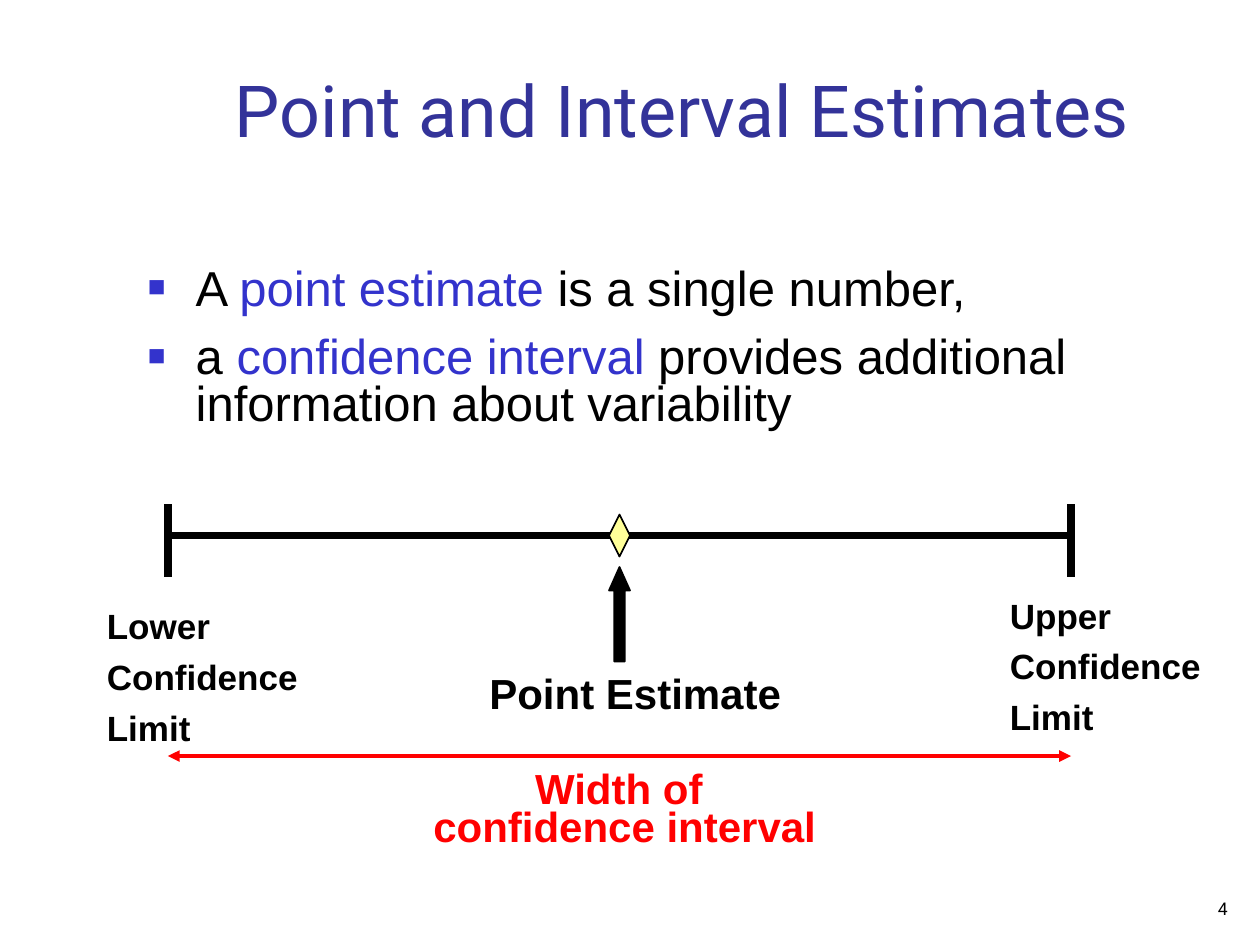
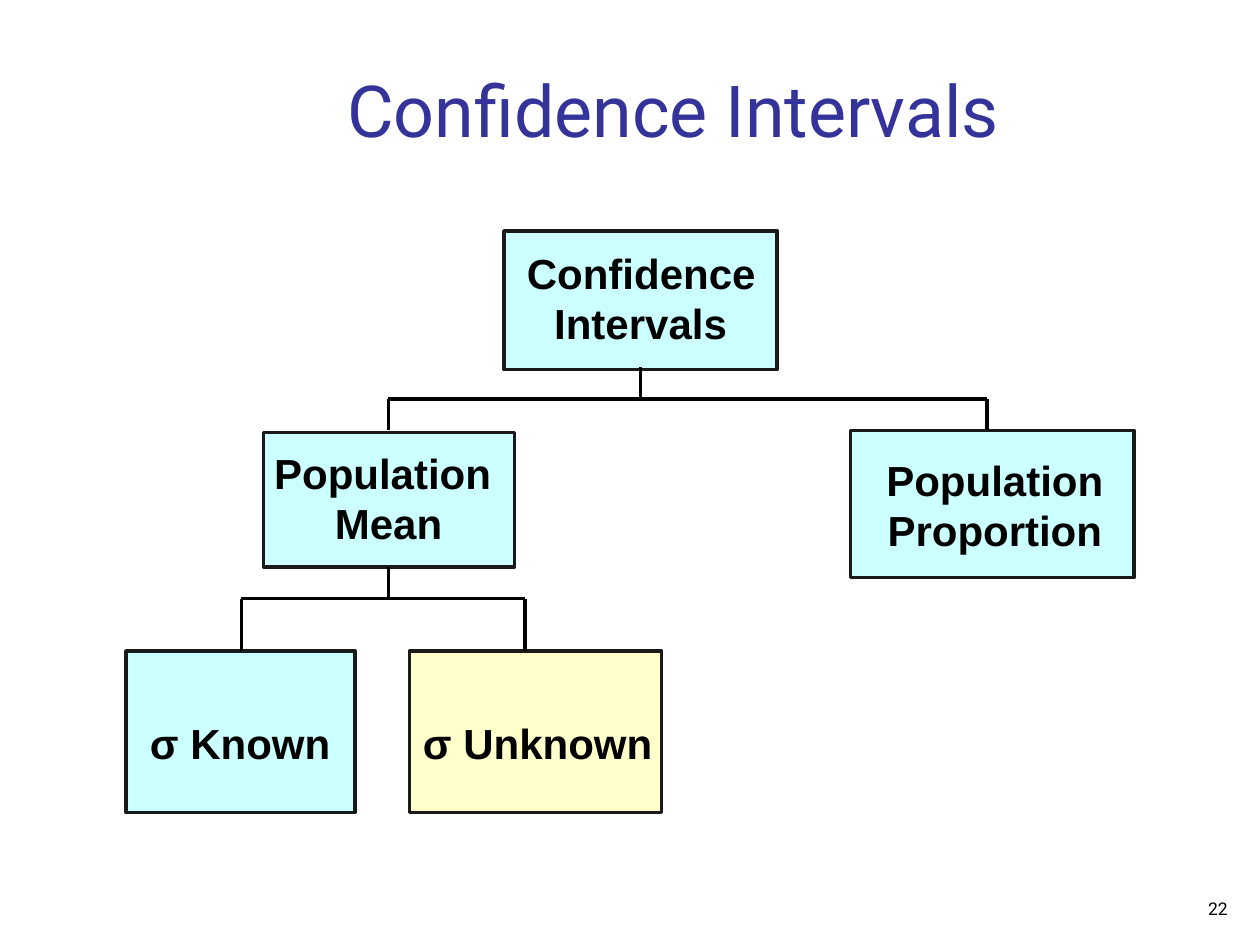
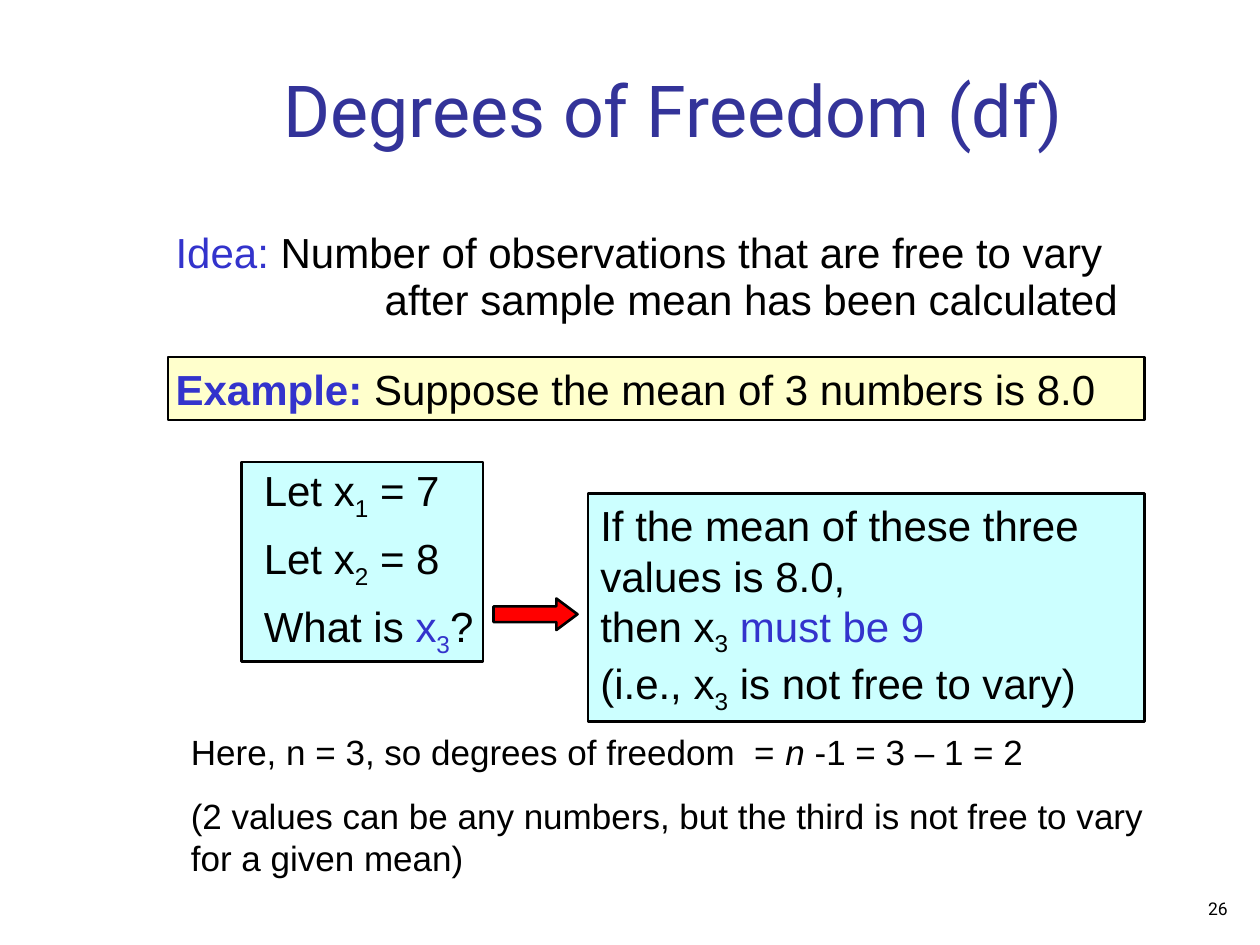
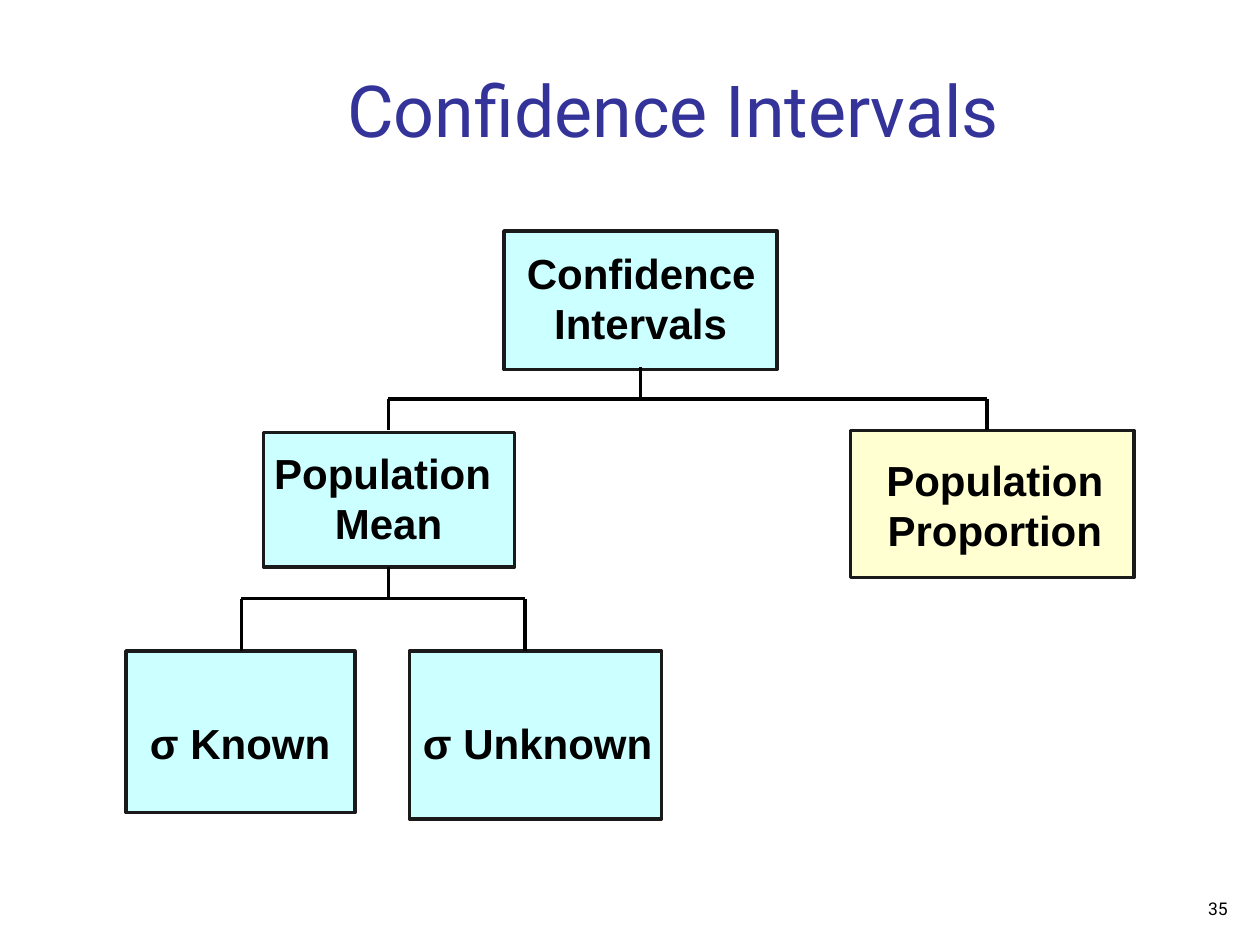
from lxml import etree
from pptx import Presentation
from pptx.dml.color import RGBColor
from pptx.enum.shapes import MSO_CONNECTOR, MSO_SHAPE
from pptx.enum.text import MSO_ANCHOR, MSO_AUTO_SIZE, PP_ALIGN
from pptx.oxml.ns import qn
from pptx.util import Emu, Inches, Pt

LEFT, CENTER, RIGHT = PP_ALIGN.LEFT, PP_ALIGN.CENTER, PP_ALIGN.RIGHT
TOP, BOTTOM = MSO_ANCHOR.TOP, MSO_ANCHOR.BOTTOM
NO_FIT, GROW = MSO_AUTO_SIZE.NONE, MSO_AUTO_SIZE.SHAPE_TO_FIT_TEXT
RECTANGLE, DIAMOND = MSO_SHAPE.RECTANGLE, MSO_SHAPE.DIAMOND
UP_ARROW, RIGHT_ARROW = MSO_SHAPE.UP_ARROW, MSO_SHAPE.RIGHT_ARROW
STRAIGHT = MSO_CONNECTOR.STRAIGHT

BLACK = RGBColor(0x00, 0x00, 0x00)
CHARCOAL = RGBColor(0x1A, 0x1A, 0x1A)
NAVY = RGBColor(0x33, 0x33, 0x99)
BLUE = RGBColor(0x33, 0x33, 0xCC)
RED = RGBColor(0xFF, 0x00, 0x00)
CYAN = RGBColor(0xCC, 0xFF, 0xFF)
YELLOW = RGBColor(0xFF, 0xFF, 0x99)
CREAM = RGBColor(0xFF, 0xFF, 0xCC)
IVORY = RGBColor(0xFF, 0xFF, 0xD1)

HEADING_FONT, TEXT_FONT = "Roboto", "Arial"
SLIDE_WIDTH, SLIDE_HEIGHT = Inches(10), Inches(7.5)
COLUMNS = 120
CELL = SLIDE_WIDTH / COLUMNS
TITLE_AREA = (13, 5, 102.3, 10.1)
NUMBER_AREA = (93, 84, 25, 4.1)
TITLE_AND_BODY, TITLE_ONLY = 1, 5

HIGHLIGHT = {"color": BLUE}
SUBSCRIPT = {"baseline": -25000}
BLUE_SUBSCRIPT = HIGHLIGHT | SUBSCRIPT


def cells(*counts):
    return [Emu(round(count * CELL)) for count in counts]


def place(shape, area):
    shape.left, shape.top, shape.width, shape.height = cells(*area)


def set_frame(frame, anchor=TOP, fit=GROW, inset=0.1):
    frame.word_wrap = True
    frame.auto_size = fit
    frame.vertical_anchor = anchor
    frame.margin_left = frame.margin_right = Inches(inset)
    frame.margin_top = frame.margin_bottom = Inches(0.05)


def add_run(paragraph, text, color=None, bold=None, italic=None, baseline=None):
    run = paragraph.add_run()
    run.text = text
    if color is not None:
        run.font.color.rgb = color
    if bold is not None:
        run.font.bold = bold
    if italic is not None:
        run.font.italic = italic
    if baseline is not None:
        run.font._element.set("baseline", str(baseline))


def set_list_style(paragraph, bulleted, indent, hanging):
    properties = paragraph._p.get_or_add_pPr()
    properties.set("marL", str(Inches(indent)))
    properties.set("indent", str(-Inches(hanging)))
    if not bulleted:
        etree.SubElement(properties, qn("a:buNone"))
        return
    color = etree.SubElement(properties, qn("a:buClr"))
    etree.SubElement(color, qn("a:srgbClr"), val=str(BLUE))
    etree.SubElement(properties, qn("a:buSzPct"), val="60000")
    etree.SubElement(properties, qn("a:buFont"), typeface=TEXT_FONT)
    etree.SubElement(properties, qn("a:buChar"), char="■")


def write_paragraph(frame, index, content, size, color=BLACK, bold=False,
                    font=TEXT_FONT, align=LEFT, before=0, spacing=None,
                    list_style=None):
    paragraph = frame.add_paragraph() if index else frame.paragraphs[0]
    runs = [(content, {})] if isinstance(content, str) else content
    for text, style in runs:
        add_run(paragraph, text, **style)
    if list_style:
        set_list_style(paragraph, *list_style)
    paragraph.alignment = align
    paragraph.space_before = Pt(before if index else 0)
    if spacing:
        paragraph.line_spacing = spacing
    paragraph.font.name = font
    paragraph.font.size = Pt(size)
    paragraph.font.bold = bold
    paragraph.font.color.rgb = color
    return paragraph


def write_lines(frame, lines, size, **style):
    for index, line in enumerate(lines):
        write_paragraph(frame, index, line, size, **style)


def add_label(slide, area, lines, size=24, **style):
    frame = slide.shapes.add_textbox(*cells(*area)).text_frame
    set_frame(frame)
    write_lines(frame, lines, size, **style)
    return frame


def add_block(slide, kind, area, fill, line=BLACK, weight=1.5, adjustments=()):
    block = slide.shapes.add_shape(kind, *cells(*area))
    block.shadow.inherit = False
    block.fill.solid()
    block.fill.fore_color.rgb = fill
    block.line.color.rgb = line
    block.line.width = Pt(weight)
    for index, value in enumerate(adjustments):
        block.adjustments[index] = value
    return block


def add_line(slide, start, end, color=BLACK, weight=2.25, arrows=False):
    line = slide.shapes.add_connector(STRAIGHT, *cells(*start, *end))
    line.line.color.rgb = color
    line.line.width = Pt(weight)
    if arrows:
        outline = line.line._get_or_add_ln()
        for end_name in ("a:headEnd", "a:tailEnd"):
            etree.SubElement(outline, qn(end_name), type="triangle")
    etree.SubElement(line._element.spPr, qn("a:effectLst"))


def add_slide(deck, title, number, layout=TITLE_ONLY, title_area=TITLE_AREA):
    slide = deck.slides.add_slide(deck.slide_layouts[layout])
    heading = slide.shapes.title
    place(heading, title_area)
    set_frame(heading.text_frame, BOTTOM, NO_FIT, inset=0.09)
    write_lines(heading.text_frame, [title], 41, color=NAVY,
                font=HEADING_FONT, align=CENTER)
    footer = slide.shapes.add_textbox(*cells(*NUMBER_AREA)).text_frame
    set_frame(footer, BOTTOM, NO_FIT, inset=0.09)
    write_lines(footer, [str(number)], 10, font=HEADING_FONT, align=RIGHT)
    return slide


def open_body(slide, area):
    body = slide.placeholders[1]
    place(body, area)
    set_frame(body.text_frame, fit=NO_FIT, inset=0.09)
    slide.shapes._spTree.append(body._element)
    return body.text_frame


def add_estimates_slide(deck):
    slide = add_slide(deck, "Point and Interval Estimates", 4,
                      TITLE_AND_BODY, (21, 5, 88, 10.1))
    body = open_body(slide, (13, 25, 101, 17))
    write_lines(body, [
        [("A ", {}), ("point estimate", HIGHLIGHT), (" is a single number,", {})],
        [("a ", {}), ("confidence interval", HIGHLIGHT),
         (" provides additional information about variability", {})],
    ], 28, before=12.2, spacing=0.8, list_style=(True, 0.38, 0.38))

    lower, upper, axis = 16, 102, 51
    add_line(slide, (lower, axis), (upper, axis), weight=4.5)
    for limit in (lower, upper):
        add_line(slide, (limit, 48), (limit, 55), weight=4.5)
    add_block(slide, DIAMOND, (58, 49, 2, 4), YELLOW, weight=1)
    add_block(slide, UP_ARROW, (58, 54, 2, 9), BLACK, weight=1,
              adjustments=(0.5, 1.12))
    add_label(slide, (37, 63, 47, 6), ["Point Estimate"], bold=True, align=CENTER)
    for name, area in (("Lower", (9, 57, 23, 15)), ("Upper", (95, 56, 22, 15))):
        add_label(slide, area, [name, "Confidence", "Limit"], 20, bold=True,
                  before=5)
    add_line(slide, (lower, 72), (upper, 72), RED, arrows=True)
    width_label = add_label(slide, (36, 72, 47, 9),
                            ["Width of ", "confidence interval"],
                            color=RED, bold=True, align=CENTER, before=15)
    width_label.paragraphs[1].line_spacing = 0.1


def add_branch(slide, parent, top, bar, children, bottom):
    add_line(slide, (parent, top), (parent, bar))
    add_line(slide, (children[0], bar), (children[-1], bar))
    for child in children:
        add_line(slide, (child, bar), (child, bottom))


def add_tree_slide(deck, number, proportion_fill=CYAN, unknown_fill=CYAN,
                   unknown_height=15.4):
    slide = add_slide(deck, "Confidence Intervals", number)
    boxes = [
        ((48, 22, 26, 13.2), CYAN),
        ((25.1, 41.2, 23.9, 12.8), CYAN),
        ((81, 41, 27, 14), proportion_fill),
        ((12, 62, 21.8, 15.4), CYAN),
        ((39, 62, 24, unknown_height), unknown_fill),
    ]
    for area, fill in boxes:
        add_block(slide, RECTANGLE, area, fill, CHARCOAL, 2)
    labels = [
        ((49, 23, 25, 6), ["Confidence"], LEFT),
        ((51.6, 27.7, 20, 6), ["Intervals"], LEFT),
        ((24, 42, 26, 10.8), ["Population ", "Mean"], CENTER),
        ((82.5, 42.7, 24.5, 10.8), ["Population", "Proportion"], CENTER),
        ((13.1, 67.7, 20.6, 6), ["σ Known"], LEFT),
        ((39.1, 67.7, 26, 6), ["σ Unknown"], LEFT),
    ]
    for area, lines, align in labels:
        add_label(slide, area, lines, align=align, bold=True)
    add_branch(slide, 61, 35, 38, (37, 94), 41)
    add_branch(slide, 37, 54, 57, (23, 50), 62)


def add_freedom_slide(deck):
    slide = add_slide(deck, "Degrees of Freedom (df)", 26, TITLE_AND_BODY)
    conclusion = add_block(slide, RECTANGLE, (56, 47, 53, 21.7), CYAN).text_frame
    set_frame(conclusion)
    write_lines(conclusion, [
        "If the mean of these three values is 8.0,",
        [("then x", {}), ("3", SUBSCRIPT), (" must be 9", HIGHLIGHT)],
        [("(i.e., x", {}), ("3", SUBSCRIPT), (" is not free to vary)", {})],
    ], 24)
    add_block(slide, RECTANGLE, (23, 44, 23, 19), CYAN)
    add_block(slide, RECTANGLE, (16, 34, 93, 6), CREAM)

    body = open_body(slide, (10, 21, 106, 45))
    steps = [
        (1, 0.47, 0, None, [("Idea:", HIGHLIGHT),
                            (" Number of observations that are free to vary", {})]),
        (1, 2.13, 6, 0.7, "after sample mean has been calculated"),
        (1, 0.47, 6, 1.6, [("Example: ", {"color": BLUE, "bold": True}),
                           ("Suppose the mean of 3 numbers is 8.0", {})]),
        (2, 1.17, 29, None, [("Let x", {}), ("1", SUBSCRIPT), (" = 7", {})]),
        (2, 1.17, 6, None, [("Let x", {}), ("2", SUBSCRIPT), (" = 8", {})]),
        (2, 1.17, 6, None, [("What is ", {}), ("x", HIGHLIGHT),
                            ("3", BLUE_SUBSCRIPT), ("?", {})]),
    ]
    for index, (level, indent, before, spacing, content) in enumerate(steps):
        paragraph = write_paragraph(body, index, content, 24, before=before,
                                    spacing=spacing,
                                    list_style=(False, indent, 0))
        paragraph.level = level

    add_label(slide, (17, 69, 97, 15.2), [
        [("Here, n = 3, so degrees of freedom  = ", {}), ("n", {"italic": True}),
         (" -1 = 3 – 1 = 2", {})],
        "(2 values can be any numbers, but the third is not free to vary "
        "for a given mean)",
    ], 20, before=12.5)
    add_block(slide, RIGHT_ARROW, (47, 57, 8, 3), RED, adjustments=(0.5, 0.67))


def main():
    deck = Presentation()
    deck.slide_width, deck.slide_height = SLIDE_WIDTH, SLIDE_HEIGHT
    add_estimates_slide(deck)
    add_tree_slide(deck, 22, unknown_fill=CREAM)
    add_freedom_slide(deck)
    add_tree_slide(deck, 35, proportion_fill=IVORY, unknown_height=16)
    deck.save("out.pptx")


if __name__ == "__main__":
    main()
